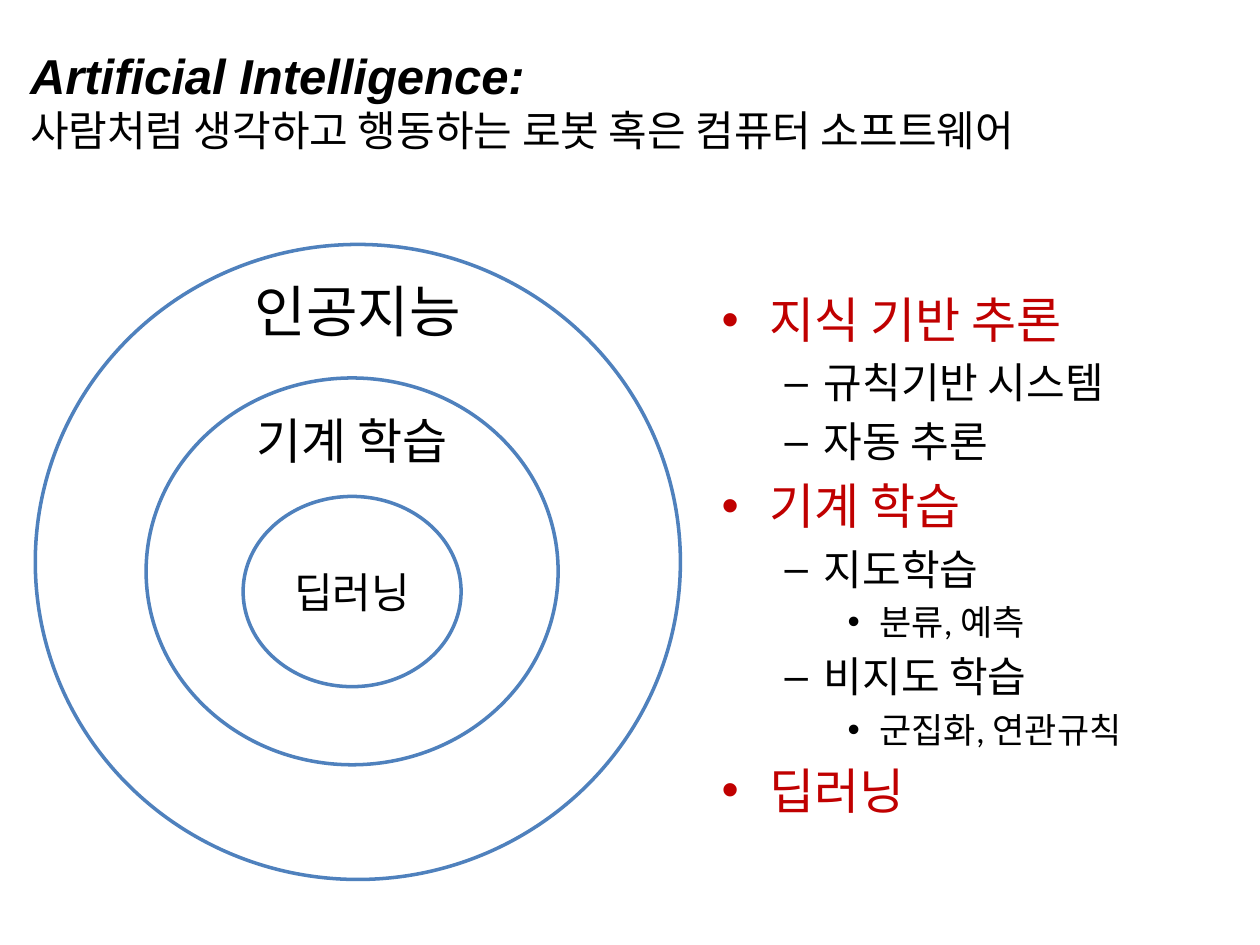
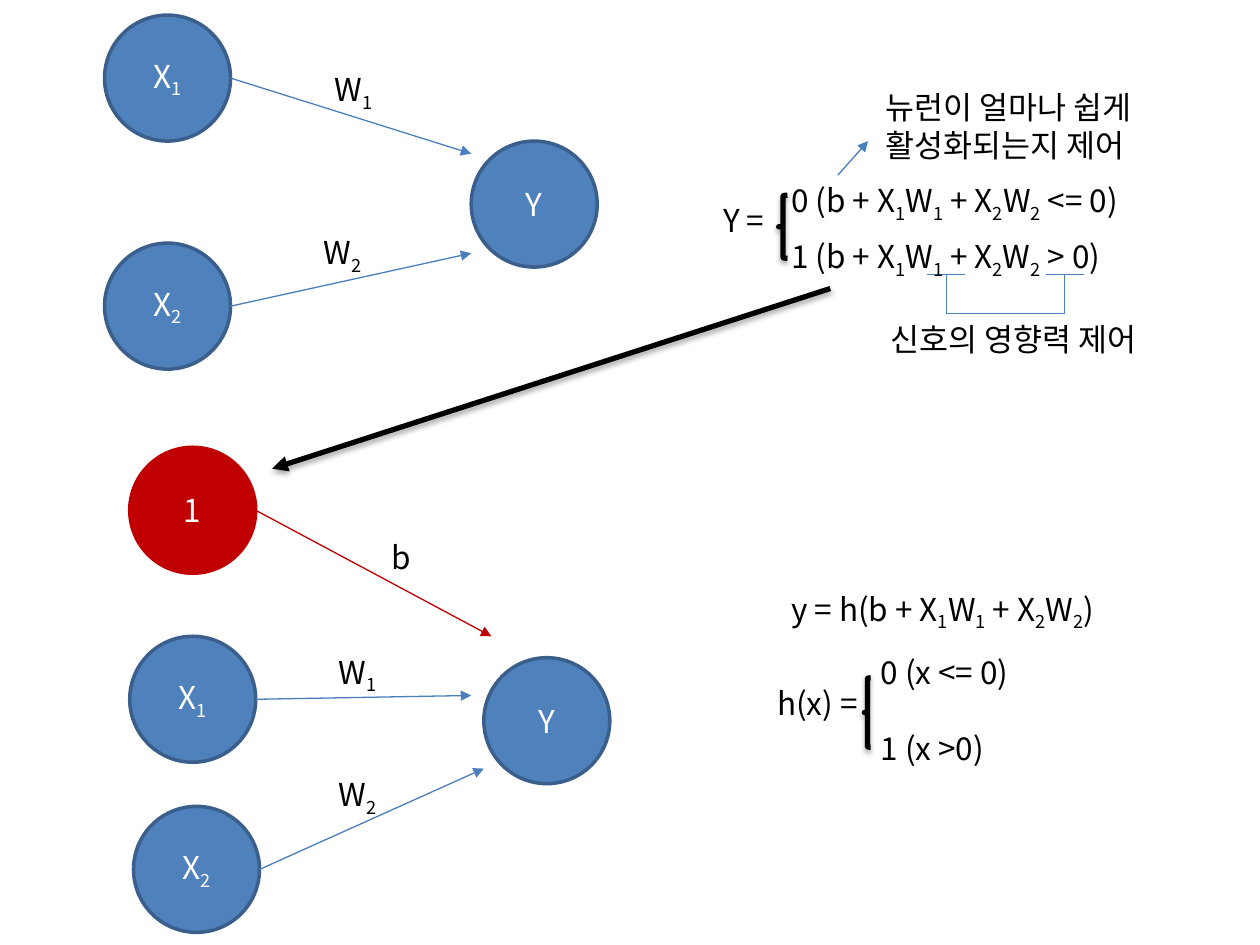
from pptx import Presentation
from pptx.util import Inches, Pt
from pptx.dml.color import RGBColor
from pptx.enum.shapes import MSO_SHAPE as SHAPE, MSO_CONNECTOR as LINK
from pptx.enum.text import PP_ALIGN as ALIGN, MSO_ANCHOR as ANCHOR, MSO_AUTO_SIZE as FIT
from pptx.oxml.ns import qn
from lxml.etree import SubElement as Sub

BLACK = RGBColor(0x00, 0x00, 0x00)
WHITE = RGBColor(0xFF, 0xFF, 0xFF)
BLUE = RGBColor(0x4F, 0x81, 0xBD)
NAVY = RGBColor(0x3A, 0x5F, 0x8C)
WIRE = RGBColor(0x4B, 0x7E, 0xBC)
RED = RGBColor(0xC0, 0x00, 0x00)
FONT = "Noto Sans CJK KR"


def put(page, text, box, kind=None, fill=None, edge=None, thick=2, size=18, color=BLACK,
        font=FONT, bold=False, align=ALIGN.LEFT, wrap=False, gap=0, shade=False):
    """Add a text box, or a shape if kind is given; "_" lowers the next character."""
    x, y, w, h = [Inches(v) for v in box]
    if kind is None:
        item = page.shapes.add_textbox(x, y, w, h)
    else:
        item = page.shapes.add_shape(kind, x, y, w, h)
        item.line.color.rgb = edge
        item.line.width = Pt(thick)
        item.shadow.inherit = False
        if fill is None:
            item.fill.background()
        else:
            item.fill.solid()
            item.fill.fore_color.rgb = fill
        if shade:
            cast(item)
    frame = item.text_frame
    frame.word_wrap = wrap
    if kind is None and not wrap:
        frame.auto_size = FIT.SHAPE_TO_FIT_TEXT
    if align == ALIGN.CENTER:
        frame.vertical_anchor = ANCHOR.MIDDLE
    for i, row in enumerate(text.split("\n")):
        para = frame.add_paragraph() if i else frame.paragraphs[0]
        para.alignment = align
        if i and gap:
            para.space_before = Pt(gap)
        head, *tails = row.split("_")
        bits = [(head, False)]
        for tail in tails:
            bits += [(tail[0], True), (tail[1:], False)]
        for bit, low in bits:
            if not bit:
                continue
            run = para.add_run()
            run.text = bit
            run.font.name, run.font.size = font, Pt(size)
            run.font.bold = run.font.italic = bold
            run.font.color.rgb = color
            mark = run._r.get_or_add_rPr()
            Sub(mark, qn("a:ea"), typeface=FONT)
            if low:
                mark.set("baseline", "-25000")
    return item


def cast(item, soft=True):
    """Replace the effects of a shape or line: a soft shadow, or none."""
    part = item._element.spPr
    for old in part.findall(qn("a:effectLst")):
        part.remove(old)
    list_ = Sub(part, qn("a:effectLst"))
    if soft:
        drop = Sub(list_, qn("a:outerShdw"), blurRad=str(Pt(3.1)), dist=str(Pt(1.8)),
                   dir="5400000", rotWithShape="0")
        tint = Sub(drop, qn("a:srgbClr"), val=str(BLACK))
        Sub(tint, qn("a:alpha"), val="35000")


deck = Presentation()
deck.slide_width, deck.slide_height = Inches(10), Inches(7.5)
blank = deck.slide_layouts[6]

# Slide 1: nested rings
page = deck.slides.add_slide(blank)
rings = [
    ((0.28, 1.94, 5.12, 5.04), "인공지능", 32, 2.46),
    ((1.16, 3, 3.27, 3.07), "기계 학습", 28, 3.49),
    ((1.93, 3.94, 1.73, 1.51), "딥러닝", 24, None),
]
for box, name, size, mid in rings:
    put(page, "" if mid else name, box, kind=SHAPE.OVAL, fill=WHITE, edge=BLUE,
        size=size, align=ALIGN.CENTER, wrap=True)
    if mid:
        put(page, name, (box[0] + box[2] / 2 - 1.25, mid - 0.3, 2.5, 0.6),
            size=size, align=ALIGN.CENTER, wrap=True)

# Bulleted outline
outline = [
    (0, "지식 기반 추론"), (1, "규칙기반 시스템"), (1, "자동 추론"),
    (0, "기계 학습"), (1, "지도학습"), (2, "분류, 예측"),
    (1, "비지도 학습"), (2, "군집화, 연관규칙"), (0, "딥러닝"),
]
levels = [(28, RED, 0.38, 0.38, "•"), (24, BLACK, 0.81, 0.31, "–"), (20, BLACK, 1.25, 0.25, "•")]
body = put(page, "\n".join(t for _, t in outline), (5.63, 2.25, 4.3, 4.88),
           font="Calibri", wrap=True)
for (level, _), para in zip(outline, body.text_frame.paragraphs):
    size, color, left, hang, sign = levels[level]
    para.level = level
    for run in para.runs:
        run.font.size, run.font.color.rgb = Pt(size), color
    form = para._p.get_or_add_pPr()
    form.set("marL", str(Inches(left)))
    form.set("indent", str(-Inches(hang)))
    Sub(Sub(form, qn("a:spcBef")), qn("a:spcPct"), val="20000")
    Sub(form, qn("a:buFont"), typeface="Arial")
    Sub(form, qn("a:buChar"), char=sign)

# Heading
title = put(page, "Artificial Intelligence:\n사람처럼 생각하고 행동하는 로봇 혹은 컴퓨터 소프트웨어",
            (0.14, 0.31, 9.46, 1.38), size=24)
for run in title.text_frame.paragraphs[0].runs:
    run.font.name, run.font.size = "Arial", Pt(28)
    run.font.bold = run.font.italic = True

# Slide 2: neurons
page = deck.slides.add_slide(blank)
nodes = [
    ("X_1", 0.83, 0.12), ("X_2", 0.83, 1.93), ("Y", 3.74, 1.12),
    ("X_1", 1.03, 5.05), ("X_2", 1.06, 6.4), ("Y", 3.84, 5.22), ("1", 1.03, 3.55),
]
for name, x, y in nodes:
    bias = name == "1"
    put(page, name, (x, y, 1, 1), kind=SHAPE.OVAL, fill=RED if bias else BLUE,
        edge=RED if bias else NAVY, color=WHITE, align=ALIGN.CENTER, wrap=True)

# Lines: start, end, colour, width, arrowhead
lines = [
    (1.83, 0.62, 3.74, 1.22, WIRE, 0.75, True),
    (1.83, 2.43, 3.74, 2.01, WIRE, 0.75, True),
    (2.03, 5.55, 3.74, 5.52, WIRE, 0.75, True),
    (2.06, 6.9, 3.84, 6.1, WIRE, 0.75, True),
    (2.03, 4.05, 3.9, 5.05, RED, 0.75, True),
    (6.65, 1.39, 6.89, 1.12, WIRE, 0.75, True),
    (6.59, 2.29, 2.16, 3.72, BLACK, 3, True),
    (7.51, 2.49, 8.45, 2.49, WIRE, 0.75, False),
]
for x in (7.51, 8.45):  # underline and stem below each weight
    lines += [(x - 0.15, 2.18, x + 0.15, 2.18, WIRE, 0.75, False),
              (x, 2.18, x, 2.49, WIRE, 0.75, False)]
for *ends, color, thick, arrow in lines:
    wire = page.shapes.add_connector(LINK.STRAIGHT, *[Inches(v) for v in ends])
    wire.line.color.rgb = color
    wire.line.width = Pt(thick)
    if arrow:
        Sub(wire.line._get_or_add_ln(), qn("a:tailEnd"), type="triangle")
    cast(wire, soft=thick == 3)

# Braces
for box in [(6.18, 1.55, 0.07, 0.5), (6.86, 5.38, 0.05, 0.55)]:
    put(page, "", box, kind=SHAPE.LEFT_BRACE, edge=BLACK, thick=3, shade=True)

# Weights, formulas and remarks
total = "b + X_1W_1 + X_2W_2"
labels = [
    ("W_1", 2.56, 0.51, 0.54, 0.4), ("W_2", 2.47, 1.8, 0.54, 0.4),
    ("W_1", 2.59, 5.13, 0.54, 0.4), ("W_2", 2.59, 6.1, 0.54, 0.4),
    ("b", 3.01, 4.22, 0.35, 0.4),
    ("Y =", 5.64, 1.55, 0.7, 0.4),
    (f"0 ({total} <= 0)", 6.18, 1.39, 3.32, 0.4),
    (f"1 ({total} > 0)", 6.18, 1.83, 3.1, 0.4),
    ("신호의 영향력 제어", 6.97, 2.49, 2.4, 0.4),
    ("뉴런이 얼마나 쉽게\n활성화되는지 제어", 6.93, 0.65, 2.49, 0.71),
    (f"y = h({total})", 6.18, 4.63, 3.12, 0.4),
    ("h(x) =", 6.07, 5.38, 0.98, 0.4),
]
for text, *box in labels:
    put(page, text, box)
put(page, "0 (x <= 0)\n1 (x >0)", (6.89, 5.13, 1.37, 1.01), gap=22)

deck.save("out.pptx")
